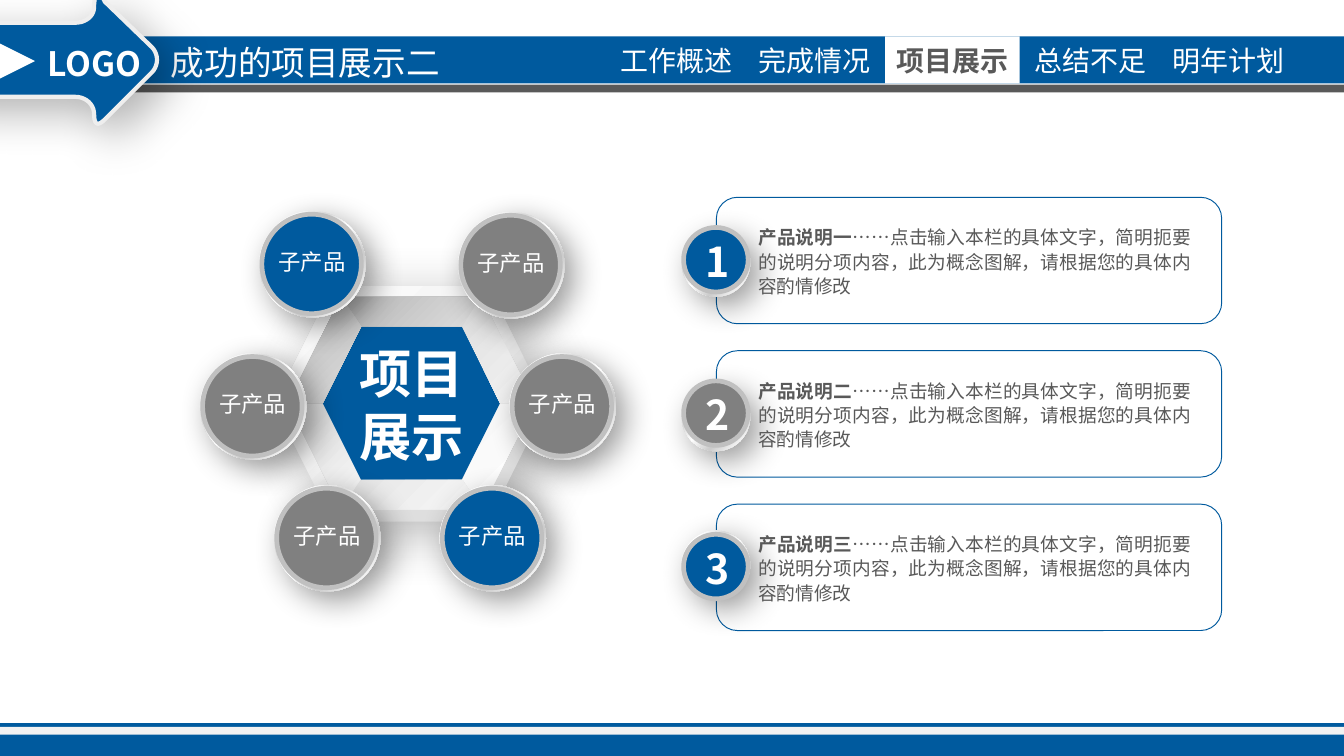
"""Build the project showcase slide with a hexagon diagram and three product notes."""
from lxml.etree import SubElement
from pptx import Presentation
from pptx.dml.color import RGBColor
from pptx.enum.shapes import MSO_SHAPE
from pptx.enum.text import MSO_ANCHOR, MSO_AUTO_SIZE, PP_ALIGN
from pptx.oxml.ns import qn
from pptx.util import Cm, Pt

FONT = "Noto Sans CJK SC"
BLUE = RGBColor(0x00, 0x5A, 0x9E)
GREY = RGBColor(0x80, 0x80, 0x80)
DARK = RGBColor(0x59, 0x59, 0x59)
PALE = RGBColor(0xF2, 0xF2, 0xF2)
EDGE = RGBColor(0xEE, 0xEE, 0xEE)
RIM = RGBColor(0xC0, 0xC0, 0xC0)
WHITE = RGBColor(0xFF, 0xFF, 0xFF)

BANDS = [(13.67, 0.62, BLUE), (13.74, 0.15, PALE), (0.69, 0.89, BLUE), (1.6, 0.15, DARK)]
SECTIONS = ["工作概述", "完成情况", "项目展示", "总结不足", "明年计划"]
CURRENT_SECTION = "项目展示"
NOTE = "……点击输入本栏的具体文字，简明扼要的说明分项内容，此为概念图解，请根据您的具体内容酌情修改"
PRODUCTS = [("1", "产品说明一", BLUE, 0.58), ("2", "产品说明二", GREY, 0.6), ("3", "产品说明三", BLUE, 0.5)]
SATELLITE_LABEL = "子产品"
SATELLITES = [
    (5.18, 9.17, GREY), (8.31, 9.17, BLUE), (9.63, 6.68, GREY),
    (8.66, 4.01, GREY), (4.9, 3.99, BLUE), (3.78, 6.68, GREY),
]

METAL = [(16, "FFFFFF"), (33, "D9D9D9"), (49, "FFFFFF"), (69, "CCCCCC"), (91, "FFFFFF")]
PLATE = [(17, "DEDEDE"), (37, "E0E0E0"), (61, "F6F6F6"), (100, "FFFFFF")]
FRAME = [(0, "CBCBCB"), (32, "DEDEDE"), (57, "F5F5F5"), (100, "FFFFFF")]
SHADED = [(0, "B4B4B4"), (100, "DFDFDF")]
LIT = [(0, "DEDEDE"), (100, "F4F4F4")]
BOTTOM = [(0, "E6E6E6"), (100, "F7F7F7")]
METAL_SHADOW = ("000000", 40, 17, 7, 45)
PLATE_SHADOW = ("696969", 47, 30, 10, 40)
ARROW_SHADOW = ("000000", 30, 25, 10, 45)

OUTER = [(6.45, 5.61), (9.09, 5.61), (10.11, 7.62), (9.09, 9.63), (6.45, 9.63), (5.44, 7.62)]
INNER = [(6.83, 6.17), (8.74, 6.17), (9.45, 7.62), (8.74, 9.07), (6.83, 9.07), (6.1, 7.62)]

ARROW = [
    [(1.85, -0.08)],
    [(1.91, -0.08), (1.96, -0.03), (1.98, 0.03)],
    [(2.87, 0.89)],
    [(3.0, 1.02), (3.0, 1.24), (2.87, 1.37)],
    [(1.98, 2.26)],
    [(1.85, 2.39), (1.78, 2.36), (1.78, 2.16)],
    [(1.78, 1.98), (1.63, 1.83), (1.42, 1.83)],
    [(-0.76, 1.83)],
    [(-0.94, 1.83), (-1.09, 1.65), (-1.09, 1.47)],
    [(-1.09, 0.79)],
    [(-1.09, 0.61), (-0.94, 0.43), (-0.76, 0.43)],
    [(1.42, 0.43)],
    [(1.63, 0.43), (1.78, 0.3), (1.78, 0.13)],
    [(1.78, 0), (1.8, -0.08), (1.85, -0.08)],
]
CURVE_STEPS = 10


def add_child(parent, tag, **attributes):
    return SubElement(parent, qn(tag), {name: str(value) for name, value in attributes.items()})


def paint(shape, fill=None, line=None, line_width=0, shadow=None, angle=45):
    properties = shape._element.spPr
    if isinstance(fill, list):
        gradient = add_child(properties, "a:gradFill", rotWithShape=1)
        stops = add_child(gradient, "a:gsLst")
        for position, colour in fill:
            stop = add_child(stops, "a:gs", pos=position * 1000)
            add_child(stop, "a:srgbClr", val=colour)
        add_child(gradient, "a:lin", ang=angle * 60000, scaled=0)
        properties.insert(2, gradient)
    elif fill is None:
        shape.fill.background()
    else:
        shape.fill.solid()
        shape.fill.fore_color.rgb = fill
    if line is None:
        shape.line.fill.background()
    else:
        shape.line.color.rgb = line
        shape.line.width = Pt(line_width)
    shape.shadow.inherit = False
    if shadow:
        colour, opacity, blur, distance, direction = shadow
        effects = properties.find(qn("a:effectLst"))
        outer = add_child(effects, "a:outerShdw", blurRad=Pt(blur), dist=Pt(distance),
                          dir=direction * 60000, algn="tl", rotWithShape=0)
        add_child(add_child(outer, "a:srgbClr", val=colour), "a:alpha", val=opacity * 1000)
    return shape


def add_preset(slide, kind, left, top, width, height, **look):
    shape = slide.shapes.add_shape(kind, Cm(left), Cm(top), Cm(width), Cm(height))
    return paint(shape, **look)


def add_outline(slide, contours, **look):
    contours = [[(Cm(x), Cm(y)) for x, y in contour] for contour in contours]
    builder = slide.shapes.build_freeform(*contours[0][0])
    builder.add_line_segments(contours[0][1:], close=True)
    for contour in contours[1:]:
        builder.move_to(*contour[0])
        builder.add_line_segments(contour[1:], close=True)
    return paint(builder.convert_to_shape(), **look)


def write(shape, runs, size, colour=WHITE, align=PP_ALIGN.CENTER, spacing=None, margins=(0, 0), **frame_format):
    frame = shape.text_frame
    side, end = map(Cm, margins)
    settings = {"word_wrap": True, "margin_left": side, "margin_right": side,
                "margin_top": end, "margin_bottom": end, **frame_format}
    for name, value in settings.items():
        setattr(frame, name, value)
    paragraph = frame.paragraphs[0]
    paragraph.alignment = align
    if spacing:
        paragraph.line_spacing = Pt(spacing)
    for text, bold in runs:
        run = paragraph.add_run()
        run.text = text
        run.font.color.rgb = colour
        for name, value in {"size": Pt(size), "bold": bold, "name": FONT}.items():
            setattr(run.font, name, value)
        add_child(run._r.get_or_add_rPr(), "a:ea", typeface=FONT)


def add_label(slide, left, top, width, height, runs, size, **text_format):
    box = slide.shapes.add_textbox(Cm(left), Cm(top), Cm(width), Cm(height))
    write(box, runs, size, **{"auto_size": MSO_AUTO_SIZE.SHAPE_TO_FIT_TEXT, **text_format})


def flatten(segments):
    points = [segments[0][0]]
    for segment in segments[1:]:
        if len(segment) == 1:
            points += segment
            continue
        controls = [points[-1], *segment]
        for step in range(1, CURVE_STEPS + 1):
            t = step / CURVE_STEPS
            weights = ((1 - t) ** 3, 3 * t * (1 - t) ** 2, 3 * t ** 2 * (1 - t), t ** 3)
            points.append(tuple(sum(w * p[axis] for w, p in zip(weights, controls)) for axis in (0, 1)))
    return points


def add_header(slide):
    for top, height, colour in BANDS:
        add_preset(slide, MSO_SHAPE.RECTANGLE, 0, top, 25.4, height, fill=colour)
    for index, section in enumerate(SECTIONS):
        current = section == CURRENT_SECTION
        tab = add_preset(slide, MSO_SHAPE.RECTANGLE, 11.51 + 2.61 * index, 0.69, 2.54, 0.89,
                         fill=WHITE if current else None)
        write(tab, [(section, current)], 15, colour=DARK if current else WHITE,
              margins=(0.18, 0.1), vertical_anchor=MSO_ANCHOR.MIDDLE)


def add_products(slide):
    for index, (number, title, colour, halo_offset) in enumerate(PRODUCTS):
        top = 3.73 + 2.9 * index
        add_preset(slide, MSO_SHAPE.ROUNDED_RECTANGLE, 13.54, top, 9.55, 2.39, line=BLUE, line_width=0.5)
        add_preset(slide, MSO_SHAPE.OVAL, 12.88, top + halo_offset, 1.3, 1.3, fill=METAL, shadow=METAL_SHADOW)
        add_preset(slide, MSO_SHAPE.OVAL, 12.92, top + 0.57, 1.22, 1.22, fill=colour, line=RIM, line_width=2.5)
        add_label(slide, 13.34, top + 0.74, 0.41, 0.94, [(number, True)], 22)
        add_label(slide, 14.33, top + 0.51, 8.18, 1.4, [(title, True), (NOTE, False)], 10,
                  colour=DARK, align=PP_ALIGN.JUSTIFY, spacing=13)


def add_hexagon(slide):
    add_preset(slide, MSO_SHAPE.HEXAGON, 5.18, 5.41, 5.16, 4.45, fill=PLATE, angle=225, shadow=PLATE_SHADOW)
    add_outline(slide, [INNER, OUTER], fill=FRAME)
    add_preset(slide, MSO_SHAPE.HEXAGON, 6.1, 6.17, 3.35, 2.9, fill=BLUE)
    for top, stops, turn in [(9.07, BOTTOM, 0), (5.61, SHADED, 180)]:
        facet = add_preset(slide, MSO_SHAPE.TRAPEZOID, 6.45, top, 2.66, 0.56, fill=stops, angle=45 + turn)
        facet.adjustments[0] = 0.66
        facet.rotation = turn
    for first, second, stops in [(1, 2, LIT), (5, 0, SHADED)]:
        add_outline(slide, [[OUTER[first], OUTER[second], INNER[second], INNER[first]]], fill=stops)
    add_label(slide, 6.55, 6.45, 2.46, 2.39, [("项目展示", True)], 28)


def add_satellites(slide):
    for left, top, colour in SATELLITES:
        add_preset(slide, MSO_SHAPE.OVAL, left, top, 2.01, 2.01, fill=METAL, shadow=METAL_SHADOW)
        add_preset(slide, MSO_SHAPE.OVAL, left + 0.05, top + 0.06, 1.88, 1.88, fill=colour, line=RIM, line_width=2.5)
        label = add_preset(slide, MSO_SHAPE.OVAL, left + 0.05, top, 1.9, 1.9)
        write(label, [(SATELLITE_LABEL, False)], 12, vertical_anchor=MSO_ANCHOR.MIDDLE)


def add_title(slide):
    heading = {"align": PP_ALIGN.LEFT, "margins": (0.18, 0.1)}
    add_label(slide, 3.05, 0.69, 5.51, 0.97, [("成功的项目展示二", False)], 18, word_wrap=False, **heading)
    add_outline(slide, [flatten(ARROW)], fill=BLUE, line=EDGE, line_width=2.25, shadow=ARROW_SHADOW)
    add_label(slide, 0.71, 0.71, 2.54, 0.97, [("LOGO", True)], 18, **heading)
    pointer = add_preset(slide, MSO_SHAPE.FLOWCHART_EXTRACT, -0.13, 0.76, 0.79, 0.79, fill=WHITE)
    pointer.rotation = 90


def main():
    presentation = Presentation()
    presentation.slide_width, presentation.slide_height = Cm(25.4), Cm(14.29)
    slide = presentation.slides.add_slide(presentation.slide_layouts[6])
    for add_part in (add_header, add_products, add_hexagon, add_satellites, add_title):
        add_part(slide)
    presentation.save("out.pptx")


if __name__ == "__main__":
    main()
